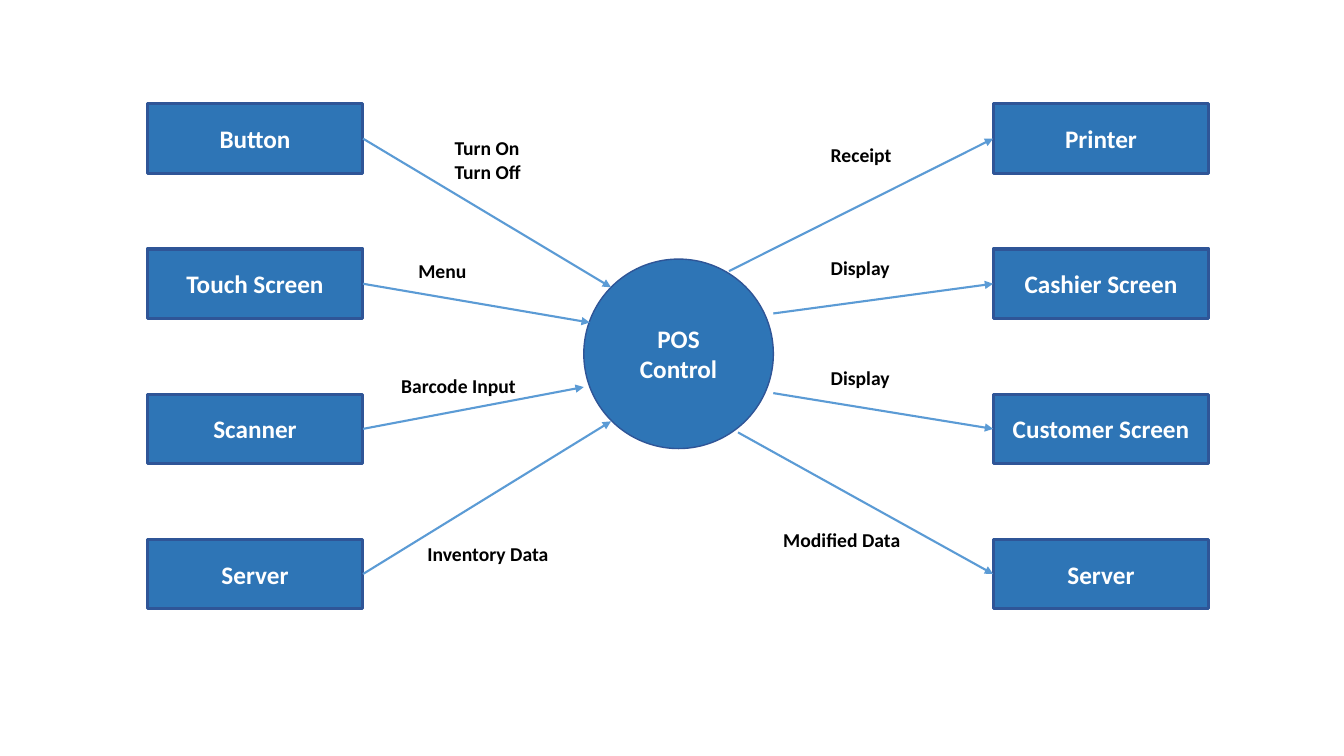
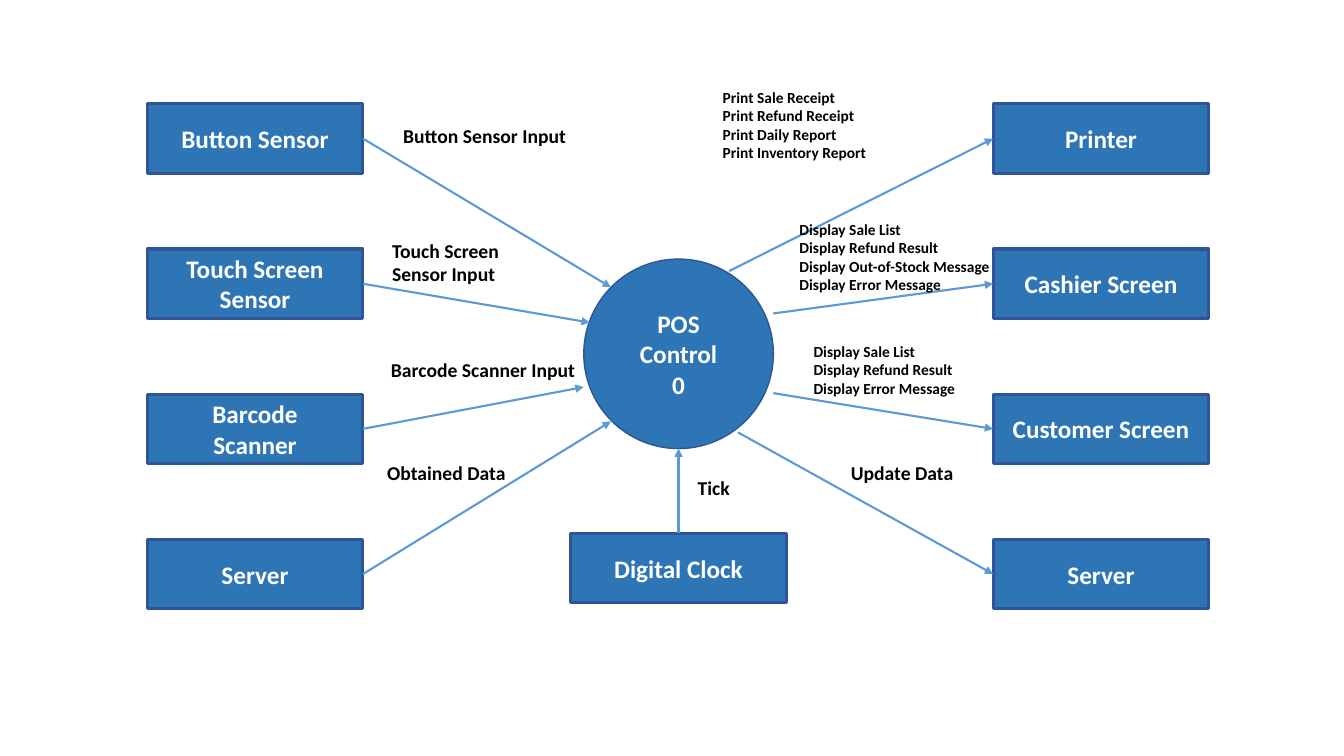
import pptx
import pptx.dml.color
import pptx.enum.shapes
import pptx.enum.text
import pptx.oxml
import pptx.oxml.ns
import pptx.util

Inches = pptx.util.Inches
Pt = pptx.util.Pt
Shapes = pptx.enum.shapes.MSO_SHAPE
Align = pptx.enum.text.PP_ALIGN

COLORS = {
    "fill": "2E75B6",
    "outline": "2F5597",
    "arrow": "5B9BD5",
    "light": "FFFFFF",
    "dark": "000000",
}
FONT = "Calibri"
BOX_WIDTH, BOX_HEIGHT = 2.14, 0.69
LEFT_COLUMN, RIGHT_COLUMN = 1.46, 9.85
FIRST_ROW, ROW_PITCH = 1.03, 1.44
CIRCLE_LEFT, CIRCLE_TOP, CIRCLE_SIZE = 5.79, 2.57, 1.88
CLOCK_TOP = 5.29
TOP_SITE, LEFT_SITE, RIGHT_SITE = 0, 1, 3

INPUT_ENDS = [(6.06, 2.85), (5.85, 3.2), (5.79, 3.84), (6.06, 4.18)]
OUTPUT_STARTS = [(7.23, 2.69), (7.67, 3.11), (7.67, 3.9), (7.32, 4.29)]
OUTPUTS = ["Printer", "Cashier Screen", "Customer Screen", "Server"]

DIAGRAMS = [
    {
        "control": "POS\nControl",
        "inputs": ["Button", "Touch Screen", "Scanner", "Server"],
        "clock": None,
        "labels": [
            ("Turn On\nTurn Off", 4.41, 1.3, 0.87, 14),
            ("Menu", 4.05, 2.52, 0.68, 14),
            ("Barcode Input", 3.88, 3.66, 1.35, 14),
            ("Inventory Data", 4.14, 5.33, 1.41, 14),
            ("Receipt", 8.14, 1.37, 0.81, 14),
            ("Display", 8.14, 2.49, 0.79, 14),
            ("Display", 8.14, 3.58, 0.79, 14),
            ("Modified Data", 7.67, 5.19, 1.37, 14),
        ],
    },
    {
        "control": "POS\nControl\n0",
        "inputs": ["Button Sensor", "Touch Screen\nSensor", "Barcode\nScanner", "Server"],
        "clock": "Digital Clock",
        "labels": [
            ("Button Sensor Input", 3.9, 1.18, 1.84, 14),
            ("Touch Screen\nSensor Input", 3.79, 2.32, 1.27, 14),
            ("Barcode Scanner Input", 3.78, 3.5, 2.04, 14),
            ("Obtained Data", 3.74, 4.52, 1.39, 14),
            ("Tick", 6.82, 4.67, 0.52, 14),
            ("Print Sale Receipt\nPrint Refund Receipt\nPrint Daily Report\n"
             "Print Inventory Report", 7.07, 0.82, 1.64, 11),
            ("Display Sale List\nDisplay Refund Result\nDisplay Out-of-Stock Message\n"
             "Display Error Message", 7.83, 2.13, 2.12, 11),
            ("Display Sale List\nDisplay Refund Result\nDisplay Error Message",
             7.97, 3.34, 1.62, 11),
            ("Update Data", 8.34, 4.52, 1.23, 14),
        ],
    },
]


class ContextDiagram:
    """Hold the diagram style and the slide being drawn."""

    def __init__(self, presentation):
        self.presentation = presentation
        self.slide = None

    def new_slide(self):
        layout = self.presentation.slide_layouts[6]
        self.slide = self.presentation.slides.add_slide(layout)

    def color(self, name):
        return pptx.dml.color.RGBColor.from_string(COLORS[name])

    def set_text(self, text_frame, text, size, color, alignment):
        text_frame.text = text
        for paragraph in text_frame.paragraphs:
            paragraph.alignment = alignment
            for run in paragraph.runs:
                run.font.name = FONT
                run.font.size = Pt(size)
                run.font.bold = True
                run.font.color.rgb = self.color(color)

    def node(self, kind, text, left, top, width, height, line_width):
        shape = self.slide.shapes.add_shape(
            kind, Inches(left), Inches(top), Inches(width), Inches(height))
        shape.shadow.inherit = False
        shape.fill.solid()
        shape.fill.fore_color.rgb = self.color("fill")
        shape.line.color.rgb = self.color("outline")
        shape.line.width = Pt(line_width)
        shape.text_frame.word_wrap = True
        shape.text_frame.vertical_anchor = pptx.enum.text.MSO_ANCHOR.MIDDLE
        self.set_text(shape.text_frame, text, 18, "light", Align.CENTER)
        return shape

    def box(self, text, left, top):
        return self.node(Shapes.RECTANGLE, text, left, top, BOX_WIDTH, BOX_HEIGHT, 2.25)

    def circle(self, text):
        return self.node(Shapes.OVAL, text, CIRCLE_LEFT, CIRCLE_TOP,
                         CIRCLE_SIZE, CIRCLE_SIZE, 1)

    def arrow(self, start, end):
        connector = self.slide.shapes.add_connector(
            pptx.enum.shapes.MSO_CONNECTOR.STRAIGHT,
            *[Inches(length) for length in (*start, *end)])
        connector.line.color.rgb = self.color("arrow")
        connector.line.width = Pt(1.5)
        namespace = pptx.oxml.ns.nsdecls("a")
        connector.get_or_add_ln().append(
            pptx.oxml.parse_xml(f'<a:tailEnd {namespace} type="triangle"/>'))
        connector.element.spPr.append(
            pptx.oxml.parse_xml(f"<a:effectLst {namespace}/>"))
        return connector

    def label(self, text, left, top, width, size):
        height = 0.1 + size / 60 * (text.count("\n") + 1)
        shape = self.slide.shapes.add_textbox(
            Inches(left), Inches(top), Inches(width), Inches(height))
        shape.text_frame.word_wrap = False
        shape.text_frame.auto_size = pptx.enum.text.MSO_AUTO_SIZE.SHAPE_TO_FIT_TEXT
        self.set_text(shape.text_frame, text, size, "dark", Align.LEFT)

    def clock(self, text):
        center = CIRCLE_LEFT + CIRCLE_SIZE / 2
        box = self.box(text, center - BOX_WIDTH / 2, CLOCK_TOP)
        arrow = self.arrow((center, CLOCK_TOP), (center, CIRCLE_TOP + CIRCLE_SIZE))
        arrow.begin_connect(box, TOP_SITE)

    def draw(self, diagram):
        self.new_slide()
        self.circle(diagram["control"])
        rows = zip(diagram["inputs"], INPUT_ENDS, OUTPUTS, OUTPUT_STARTS)
        for index, (source, end, target, start) in enumerate(rows):
            top = FIRST_ROW + index * ROW_PITCH
            middle = top + BOX_HEIGHT / 2
            source_box = self.box(source, LEFT_COLUMN, top)
            target_box = self.box(target, RIGHT_COLUMN, top)
            incoming = self.arrow((LEFT_COLUMN + BOX_WIDTH, middle), end)
            incoming.begin_connect(source_box, RIGHT_SITE)
            outgoing = self.arrow(start, (RIGHT_COLUMN, middle))
            outgoing.end_connect(target_box, LEFT_SITE)
        if diagram["clock"]:
            self.clock(diagram["clock"])
        for label in diagram["labels"]:
            self.label(*label)


def main():
    presentation = pptx.Presentation()
    presentation.slide_width = Inches(13.33)
    presentation.slide_height = Inches(7.5)
    context_diagram = ContextDiagram(presentation)
    for diagram in DIAGRAMS:
        context_diagram.draw(diagram)
    presentation.save("out.pptx")


if __name__ == "__main__":
    main()
